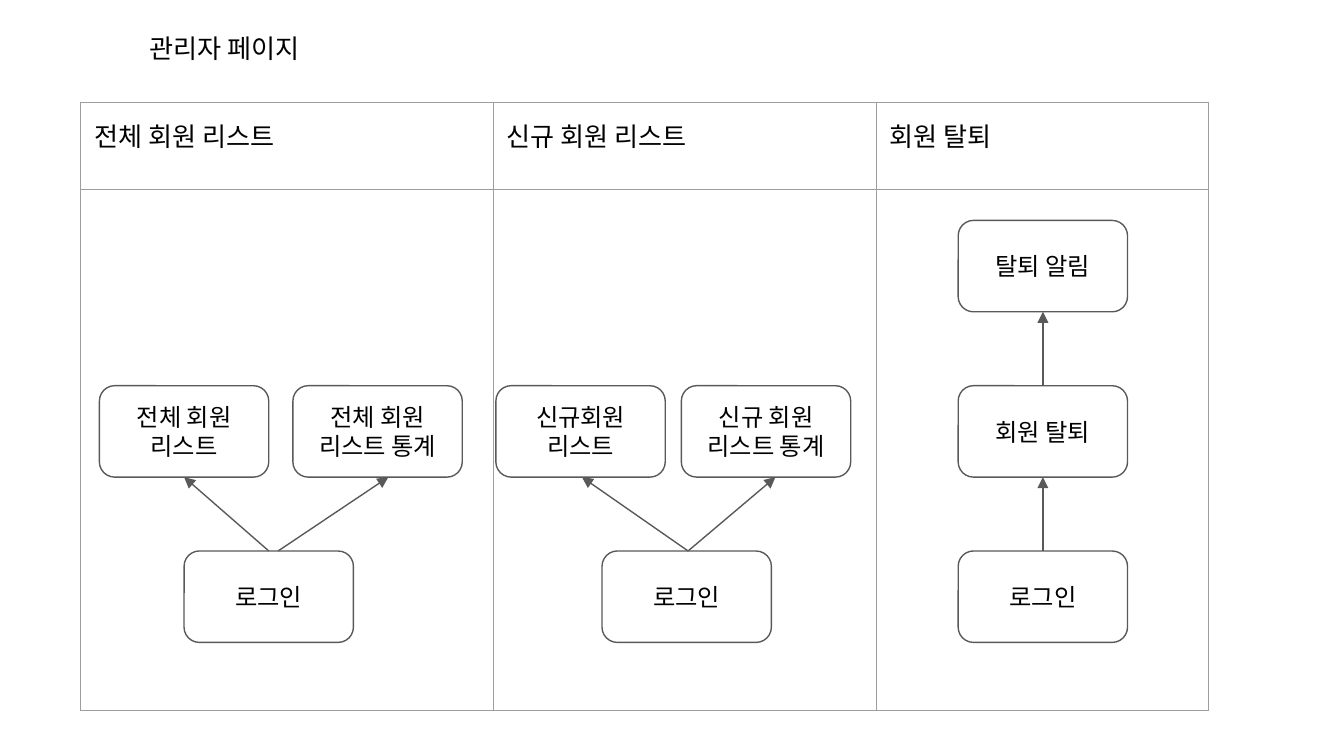
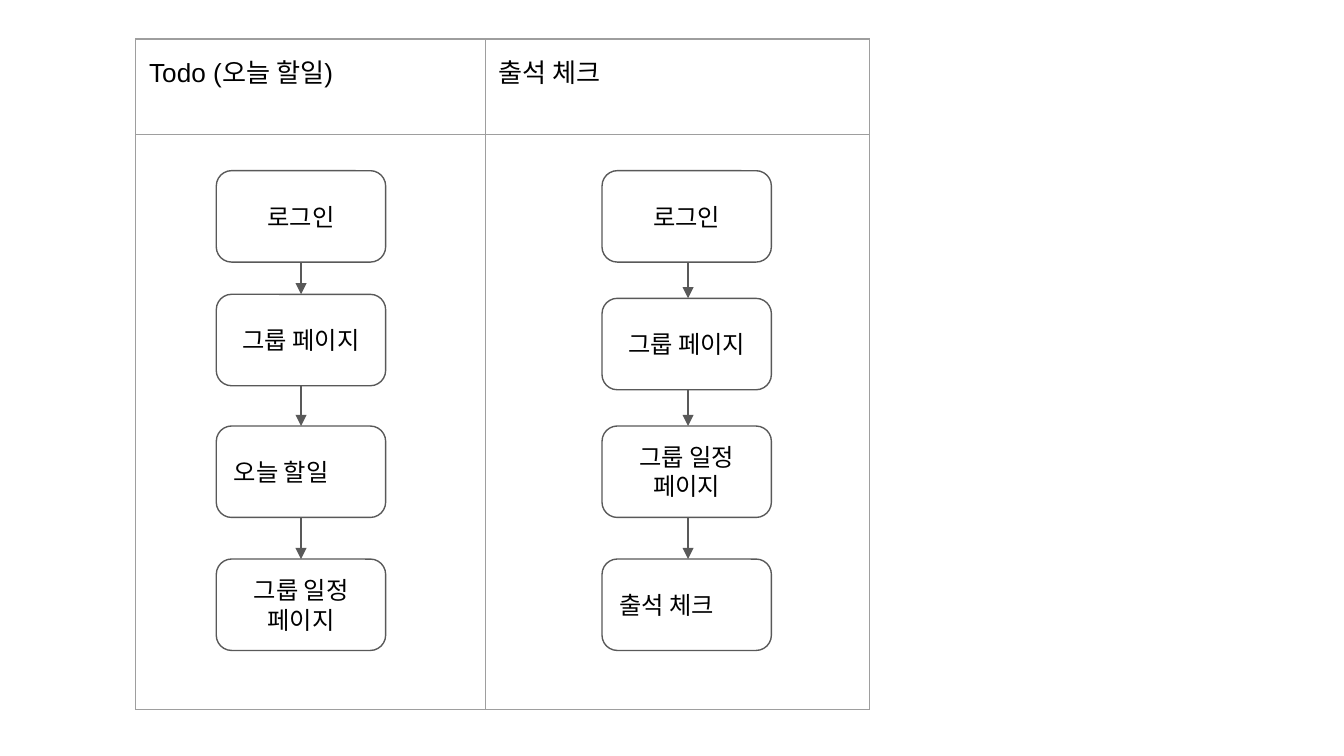
"""Build the member flow charts of the admin and group pages."""
from dataclasses import dataclass
from typing import Any

from lxml.etree import SubElement
from pptx import Presentation
from pptx.dml.color import RGBColor as Rgb
from pptx.enum.shapes import MSO_CONNECTOR as Line, MSO_SHAPE as Form
from pptx.enum.text import MSO_ANCHOR as Anchor, MSO_AUTO_SIZE as Fit, PP_ALIGN as Align
from pptx.oxml.ns import qn
from pptx.util import Inches, Pt


@dataclass(frozen=True)
class Theme:
    """Hold the colours, fonts and sizes of the deck."""
    ink: Rgb = Rgb.from_string("000000")
    paper: Rgb = Rgb.from_string("FFFFFF")
    edge: Rgb = Rgb.from_string("595959")
    grid: str = "9E9E9E"
    face: str = "Arial"
    head: Any = Pt(14)
    label: Any = Pt(13)
    rule: Any = Pt(0.75)
    pad: Any = Inches(0.1)
    wide: float = 1.26
    high: float = 0.68


@dataclass(frozen=True)
class Box:
    """Describe one step of a flow."""
    text: str
    left: float
    top: float
    align: Any = Align.CENTER


@dataclass(frozen=True)
class Link:
    """Join two steps, with each end moved sideways from the middle."""
    start: Box
    end: Box
    leave: float = 0
    reach: float = 0


@dataclass(frozen=True)
class Grid:
    """Describe the table behind the flows."""
    left: float
    top: float
    cols: tuple[float, ...]
    rows: tuple[float, ...]
    heads: tuple[str, ...]


@dataclass(frozen=True)
class Page:
    """Describe one slide."""
    grid: Grid
    boxes: tuple[Box, ...]
    links: tuple[Link, ...]
    title: str = ""


THEME = Theme()
MARGINS = {f"margin_{side}": THEME.pad for side in ("left", "top", "right", "bottom")}


def put(item: Any, values: dict[str, Any]) -> None:
    """Set each named value on the item."""
    for name, value in values.items():
        setattr(item, name, value)


def write(frame: Any, text: str, size: Any, align: Any = Align.LEFT) -> None:
    """Fill a text frame with one styled paragraph."""
    para = frame.paragraphs[0]
    para.alignment = align
    run = para.add_run()
    run.text = text
    put(run.font, {"size": size, "name": THEME.face, "bold": False})
    run.font.color.rgb = THEME.ink


def rule_cell(cell: Any) -> None:
    """Give a cell thin borders and no fill."""
    props = cell._tc.get_or_add_tcPr()
    for side in ("lnL", "lnR", "lnT", "lnB"):
        line = SubElement(props, qn(f"a:{side}"), w=str(THEME.rule))
        fill = SubElement(line, qn("a:solidFill"))
        SubElement(fill, qn("a:srgbClr"), val=THEME.grid)
    cell.fill.background()


def draw_grid(slide: Any, grid: Grid) -> None:
    """Draw the table with a tall merged cell under each head."""
    size = Inches(sum(grid.cols)), Inches(sum(grid.rows))
    frame = slide.shapes.add_table(
        len(grid.rows), len(grid.cols), Inches(grid.left), Inches(grid.top), *size)
    table = frame.table
    put(table, {"first_row": False, "horz_banding": False})
    for row, high in zip(table.rows, grid.rows):
        row.height = Inches(high)
    for cell in table.iter_cells():
        put(cell, MARGINS)
        rule_cell(cell)
    for col, (wide, head) in enumerate(zip(grid.cols, grid.heads)):
        table.columns[col].width = Inches(wide)
        write(table.cell(0, col).text_frame, head, THEME.head)
        table.cell(1, col).merge(table.cell(len(grid.rows) - 1, col))


def draw_box(slide: Any, box: Box) -> None:
    """Draw one step as a rounded box."""
    shape = slide.shapes.add_shape(
        Form.ROUNDED_RECTANGLE, Inches(box.left), Inches(box.top),
        Inches(THEME.wide), Inches(THEME.high))
    shape.shadow.inherit = False
    shape.fill.solid()
    shape.fill.fore_color.rgb = THEME.paper
    shape.line.color.rgb = THEME.edge
    shape.line.width = THEME.rule
    put(shape.text_frame, MARGINS | {"word_wrap": True, "vertical_anchor": Anchor.MIDDLE})
    write(shape.text_frame, box.text, THEME.label, box.align)


def draw_link(slide: Any, link: Link) -> None:
    """Draw an arrow between the facing edges of two steps."""
    start, end = link.start, link.end
    down = start.top < end.top
    begin = start.left + THEME.wide / 2 + link.leave, start.top + THEME.high * down
    stop = end.left + THEME.wide / 2 + link.reach, end.top + THEME.high * (not down)
    line = slide.shapes.add_connector(
        Line.STRAIGHT, *(Inches(value) for value in begin + stop))
    line.line.color.rgb = THEME.edge
    line.line.width = THEME.rule
    SubElement(line.line._get_or_add_ln(), qn("a:tailEnd"), type="triangle")
    SubElement(line._element.spPr, qn("a:effectLst"))


def draw_title(slide: Any, text: str) -> None:
    """Move and style the title placeholder."""
    title = slide.shapes.title
    put(title, {"left": Inches(1.01), "top": Inches(0.14),
                "width": Inches(1.98), "height": Inches(0.44)})
    put(title.text_frame, MARGINS | {"word_wrap": True, "vertical_anchor": Anchor.TOP,
                                     "auto_size": Fit.SHAPE_TO_FIT_TEXT})
    write(title.text_frame, text, THEME.head)


def chain(boxes: tuple[Box, ...], shift: float = 0) -> tuple[Link, ...]:
    """Link each step to the next one."""
    return tuple(Link(start, end, shift, shift) for start, end in zip(boxes, boxes[1:]))


def stack(left: float, *steps: tuple[Any, ...]) -> tuple[Box, ...]:
    """Line up steps in one column."""
    return tuple(Box(text, left, top, *align) for text, top, *align in steps)


def admin() -> Page:
    """Plan the admin page."""
    low, mid, high = 4.1, 2.87, 1.64
    all_in = Box("로그인", 1.37, low)
    all_list = Box("전체 회원 리스트", 0.74, mid)
    all_stat = Box("전체 회원 리스트 통계", 2.18, mid)
    new_in = Box("로그인", 4.48, low)
    new_list = Box("신규회원 리스트", 3.69, mid)
    new_stat = Box("신규 회원 리스트 통계", 5.07, mid)
    leave = stack(7.13, ("로그인", low), ("회원 탈퇴", mid), ("탈퇴 알림", high))
    grid = Grid(0.6, 0.76, (3.07, 2.85, 2.47), (0.65, 1.94, 1.94),
                ("전체 회원 리스트", "신규 회원 리스트", "회원 탈퇴"))
    links = (Link(all_in, all_list), Link(all_in, all_stat, 0.07, 0.08),
             Link(new_in, new_list, 0.01, 0.01),
             Link(new_in, new_stat, 0.01, 0.07)) + chain(leave)
    boxes = (all_in, all_list, all_stat, new_in, new_list, new_stat) + leave
    return Page(grid, boxes, links, "관리자 페이지")


def group() -> Page:
    """Plan the group page."""
    todo = stack(1.61, ("로그인", 1.27), ("그룹 페이지", 2.19),
                 ("오늘 할일", 3.17, Align.LEFT), ("그룹 일정 페이지", 4.16))
    check = stack(4.48, ("로그인", 1.27), ("그룹 페이지", 2.22),
                  ("그룹 일정 페이지", 3.17), ("출석 체크", 4.16, Align.LEFT))
    grid = Grid(1.01, 0.29, (2.6, 2.86), (0.71, 2.14, 2.14),
                ("Todo (오늘 할일)", "출석 체크"))
    return Page(grid, todo + check, chain(todo) + chain(check, 0.01))


def main() -> None:
    """Build and save the deck."""
    deck = Presentation()
    wide = Inches(10)
    put(deck, {"slide_width": wide, "slide_height": wide * 9 // 16})
    titled, blank = deck.slide_layouts[5], deck.slide_layouts[6]
    for page in (admin(), group()):
        slide = deck.slides.add_slide(titled if page.title else blank)
        if page.title:
            draw_title(slide, page.title)
        draw_grid(slide, page.grid)
        for box in page.boxes:
            draw_box(slide, box)
        for link in page.links:
            draw_link(slide, link)
    deck.save("out.pptx")


if __name__ == "__main__":
    main()
